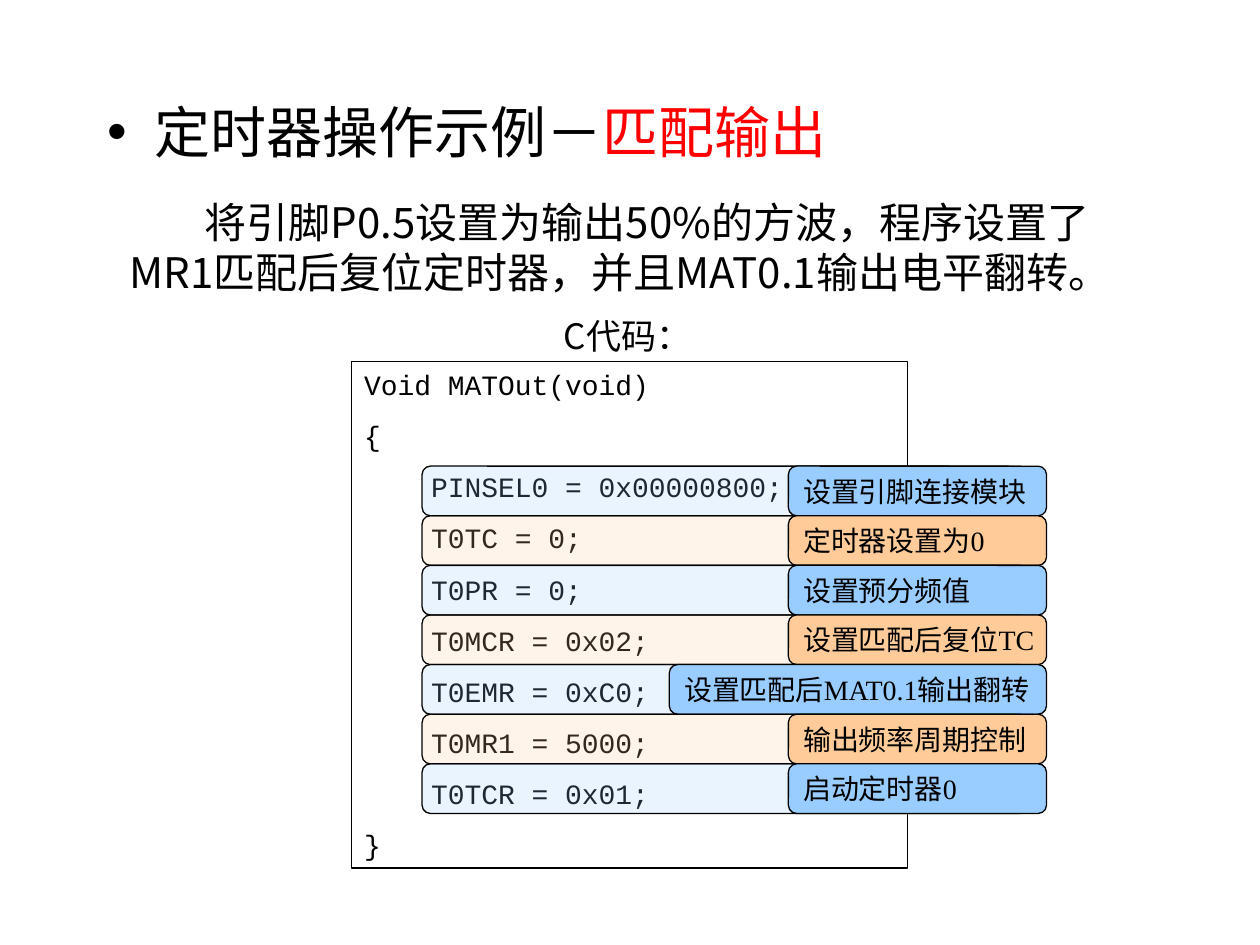
"""Build the timer match-output slide with its annotated code listing."""
import pptx
import pptx.dml.color
import pptx.enum.shapes
import pptx.enum.text
import pptx.oxml
import pptx.oxml.ns
import pptx.util

Pt = pptx.util.Pt
RGBColor = pptx.dml.color.RGBColor
SHAPE = pptx.enum.shapes.MSO_SHAPE
ALIGN = pptx.enum.text.PP_ALIGN
ANCHOR = pptx.enum.text.MSO_ANCHOR
qn = pptx.oxml.ns.qn

BLACK = RGBColor(0, 0, 0)
WHITE = RGBColor(255, 255, 255)
RED = RGBColor(255, 0, 0)
BLUE = RGBColor(0x99, 0xCC, 0xFF)
ORANGE = RGBColor(0xFF, 0xCC, 0x99)

SERIF = "Times New Roman"
SANS = "Noto Sans CJK JP"
MONO = "Courier New"

ROW_TOP, ROW_HEIGHT = 266.4, 28.35
BAR_LEFT, BAR_WIDTH = 241.2, 346.3
LABEL_RIGHT = 598
WIDE_LABEL, LABEL = 215.5, 147.5

CODE = """Void MATOut(void)
{
    PINSEL0 = 0x00000800;
    T0TC = 0;
    T0PR = 0;
    T0MCR = 0x02;
    T0EMR = 0xC0;
    T0MR1 = 5000;
    T0TCR = 0x01;
}"""

NOTES = [
    ("设置引脚连接模块", LABEL),
    ("定时器设置为0", LABEL),
    ("设置预分频值", LABEL),
    ("设置匹配后复位TC", LABEL),
    ("设置匹配后MAT0.1输出翻转", WIDE_LABEL),
    ("输出频率周期控制", LABEL),
    ("启动定时器0", LABEL),
]


def apply_format(target, values):
    """Set each attribute in values on the target."""
    for name, value in values.items():
        setattr(target, name, value)


def add_span(para, text, font, size, color=BLACK):
    """Append a formatted run to a paragraph."""
    span = para.add_run()
    span.text = text
    apply_format(span.font, {"name": font, "size": Pt(size), "bold": False})
    span.font.color.rgb = color


def add_title(page):
    """Place the bulleted two-colour title."""
    title = page.shapes.title
    apply_format(title, {"left": Pt(54), "top": Pt(52), "width": Pt(578), "height": Pt(48)})
    apply_format(title.text_frame, {"vertical_anchor": ANCHOR.TOP, "word_wrap": True,
                                    "auto_size": pptx.enum.text.MSO_AUTO_SIZE.NONE})
    para = title.text_frame.paragraphs[0]
    properties = para._p.get_or_add_pPr()
    properties.set("marL", str(Pt(27)))
    properties.set("indent", str(Pt(-27)))
    for tag, key, value in (("a:buFont", "typeface", "Arial"), ("a:buChar", "char", "•")):
        namespace = pptx.oxml.ns.nsdecls("a")
        properties.append(pptx.oxml.parse_xml(f'<{tag} {namespace} {key}="{value}"/>'))
    apply_format(para, {"alignment": ALIGN.LEFT, "space_before": Pt(0), "line_spacing": 1.0})
    add_span(para, "定时器操作示例－", SERIF, 32)
    add_span(para, "匹配输出", SERIF, 32, RED)


def add_text(page, place, text, size, para_format, indent=0):
    """Add a wrapped text box holding one paragraph."""
    box = page.shapes.add_textbox(*map(Pt, place))
    box.text_frame.word_wrap = True
    para = box.text_frame.paragraphs[0]
    if indent:
        para._p.get_or_add_pPr().set("indent", str(Pt(indent)))
    apply_format(para, para_format)
    add_span(para, text, SANS, size)


def add_panel(shapes, kind, place, fill, alpha=None):
    """Add an outlined, filled shape, optionally translucent."""
    panel = shapes.add_shape(kind, *map(Pt, place))
    panel.shadow.inherit = False
    panel.fill.solid()
    panel.fill.fore_color.rgb = fill
    if alpha is not None:
        color = panel._element.spPr.find(qn("a:solidFill")).find(qn("a:srgbClr"))
        color.append(pptx.oxml.parse_xml(
            f'<a:alpha {pptx.oxml.ns.nsdecls("a")} val="{alpha * 1000}"/>'))
    panel.line.color.rgb = BLACK
    panel.line.width = Pt(0.75)
    return panel


def add_code(page):
    """Add the framed code listing."""
    panel = add_panel(page.shapes, SHAPE.RECTANGLE, (201, 206.6, 317.5, 289.4), WHITE)
    frame = panel.text_frame
    apply_format(frame, {"vertical_anchor": ANCHOR.TOP, "word_wrap": True})
    for number, line in enumerate(CODE.splitlines()):
        para = frame.add_paragraph() if number else frame.paragraphs[0]
        apply_format(para, {"alignment": ALIGN.LEFT, "space_before": Pt(10 if number else 0)})
        add_span(para, line, MONO, 16)


def add_note(page, row, text, width):
    """Highlight one code line and label it."""
    top = ROW_TOP + row * ROW_HEIGHT
    fill = ORANGE if row % 2 else BLUE
    group = page.shapes.add_group_shape()
    add_panel(group.shapes, SHAPE.ROUNDED_RECTANGLE,
              (BAR_LEFT, top, BAR_WIDTH, ROW_HEIGHT), fill, alpha=20)
    label = add_panel(group.shapes, SHAPE.ROUNDED_RECTANGLE,
                      (LABEL_RIGHT - width, top, width, ROW_HEIGHT), fill)
    apply_format(label.text_frame, {"vertical_anchor": ANCHOR.MIDDLE, "word_wrap": False})
    para = label.text_frame.paragraphs[0]
    para.alignment = ALIGN.LEFT
    add_span(para, text, SERIF, 16)


def main():
    """Build and save the deck."""
    deck = pptx.Presentation()
    apply_format(deck, {"slide_width": Pt(720), "slide_height": Pt(540)})
    page = deck.slides.add_slide(deck.slide_layouts[5])
    add_title(page)
    add_code(page)
    add_text(page, (286.6, 176.4, 144, 31.7), "C代码：", 20,
             {"alignment": ALIGN.CENTER, "line_spacing": Pt(24)})
    for row, (text, width) in enumerate(NOTES):
        add_note(page, row, text, width)
    add_text(page, (67, 108.7, 599, 64.8),
             "将引脚P0.5设置为输出50%的方波，程序设置了MR1匹配后复位定时器，并且MAT0.1输出电平翻转。",
             24, {"alignment": ALIGN.LEFT, "line_spacing": Pt(28.8)}, indent=43)
    deck.save("out.pptx")


if __name__ == "__main__":
    main()
